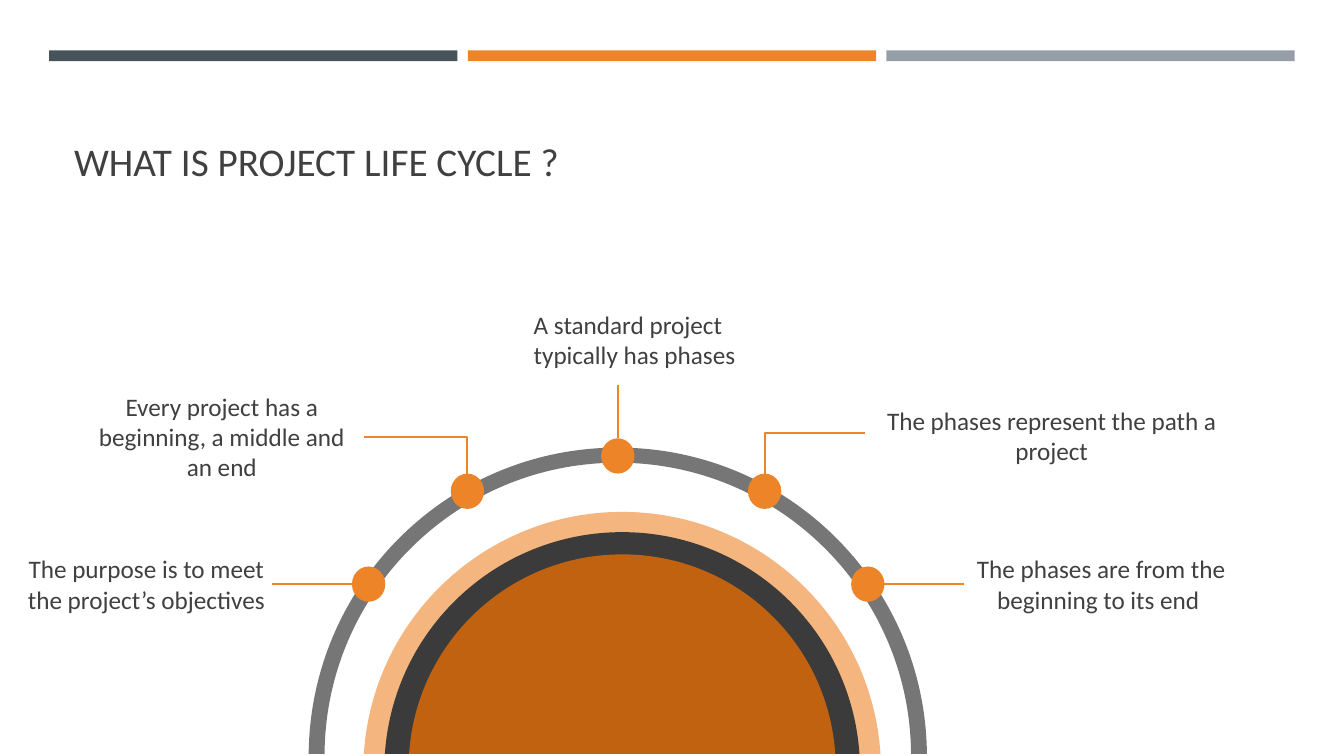
import math
from lxml import etree
from pptx import Presentation
from pptx.dml.color import RGBColor
from pptx.enum.shapes import MSO_CONNECTOR, MSO_SHAPE
from pptx.enum.text import MSO_ANCHOR, PP_ALIGN
from pptx.oxml.ns import qn
from pptx.util import Cm, Pt

RECT, OVAL = MSO_SHAPE.RECTANGLE, MSO_SHAPE.OVAL
STRAIGHT, ELBOW = MSO_CONNECTOR.STRAIGHT, MSO_CONNECTOR.ELBOW
LEFT, CENTER = PP_ALIGN.LEFT, PP_ALIGN.CENTER
TOP, BOTTOM = MSO_ANCHOR.TOP, MSO_ANCHOR.BOTTOM
ORANGE, TEXT = "ED8428", "404040"
BASE = 19


def paint(sp, color):
    sp.shadow.inherit = False
    sp.fill.solid()
    sp.fill.fore_color.rgb = RGBColor.from_string(color)
    sp.line.fill.background()


def arc(cx, half, height):
    radius = (half ** 2 + height ** 2) / (2 * height)
    sweep = math.atan2(half, radius - height)
    handle = radius * 4 / 3 * math.tan(sweep / 4)
    top = BASE - height
    dx, dy = handle * math.cos(sweep), handle * math.sin(sweep)
    points = [(-half, BASE), (dx - half, BASE - dy), (-handle, top), (0, top),
              (handle, top), (half - dx, BASE - dy), (half, BASE)]
    return [(Cm(cx + x), Cm(y)) for x, y in points]


prs = Presentation()
prs.slide_width, prs.slide_height = Cm(33.87), Cm(19.05)
s = prs.slides.add_slide(prs.slide_layouts[6])

for i, color in enumerate(["465359", ORANGE, "969FA7"]):
    bar = s.shapes.add_shape(RECT, Cm(1.24 + 10.55 * i), Cm(1.27), Cm(10.29), Cm(0.27))
    paint(bar, color)

outlines = [
    (arc(15.57, 7.79, 7.72) + arc(15.57, 7.39, 7.34)[::-1], "767676"),
    (arc(15.68, 6.51, 6.1), "F4B57E"),
    (arc(15.68, 5.98, 5.59), "3B3B3B"),
    (arc(15.68, 5.37, 5.03), "C06210"),
]
for points, color in outlines:
    fb = s.shapes.build_freeform(*points[0])
    fb.add_line_segments(points[1:])
    sp = fb.convert_to_shape()
    paint(sp, color)
    steps = list(sp._element.iter(qn("a:lnTo")))
    for start in range(0, len(points), 7):
        for i in (start, start + 3):
            curve = etree.Element(qn("a:cubicBezTo"))
            steps[i].addprevious(curve)
            for step in steps[i:i + 3]:
                curve.append(step[0])
                step.getparent().remove(step)

W, H = 0.84, 0.89
phases = [
    (9.29, 14.72, 6.86, 14.72),
    (11.78, 12.38, 9.18, 11.02),
    (15.57, 11.49, 15.57, 9.7),
    (19.27, 12.38, 21.79, 10.92),
    (21.87, 14.72, 24.29, 14.72),
]
for x, y, from_x, from_y in phases:
    dot = s.shapes.add_shape(OVAL, Cm(x - W / 2), Cm(y - H / 2), Cm(W), Cm(H))
    paint(dot, ORANGE)
    bent = x != from_x and y != from_y
    if y == from_y:
        to_x, to_y = x + math.copysign(W / 2, from_x - x), y
    else:
        to_x, to_y = x, y - H / 2
    c = s.shapes.add_connector(ELBOW if bent else STRAIGHT,
                               Cm(from_x), Cm(from_y), Cm(to_x), Cm(to_y))
    c.line.color.rgb = RGBColor.from_string(ORANGE)
    c.line.width = Pt(1.5)
    spPr = c._element.spPr
    if bent:
        spPr.find(qn("a:prstGeom")).set("prst", "bentConnector2")
    etree.SubElement(spPr, qn("a:effectLst"))

texts = [
    (1.62, 2.03, 30.63, 2.74, "WHAT IS PROJECT LIFE CYCLE ?", 28, LEFT, BOTTOM),
    (0.06, 13.83, 7.26, 1.8, "The purpose is to meet the project’s objectives", 18, CENTER, TOP),
    (2.06, 9.73, 7.06, 2.57, "Every project has a beginning, a middle and an end", 18, CENTER, TOP),
    (13.2, 7.67, 5.59, 1.8, "A standard project typically has phases", 18, LEFT, TOP),
    (22.02, 10.09, 8.97, 1.8, "The phases represent the path a project", 18, CENTER, TOP),
    (23.65, 13.83, 8.2, 1.8, "The phases are from the beginning to its end ", 18, CENTER, TOP),
]
for x, y, w, h, text, size, align, anchor in texts:
    tf = s.shapes.add_textbox(Cm(x), Cm(y), Cm(w), Cm(h)).text_frame
    tf.word_wrap = True
    tf.vertical_anchor = anchor
    p = tf.paragraphs[0]
    p.text = text
    p.alignment = align
    p.font.name = "Calibri"
    p.font.size = Pt(size)
    p.font.color.rgb = RGBColor.from_string(TEXT)

prs.save("out.pptx")
